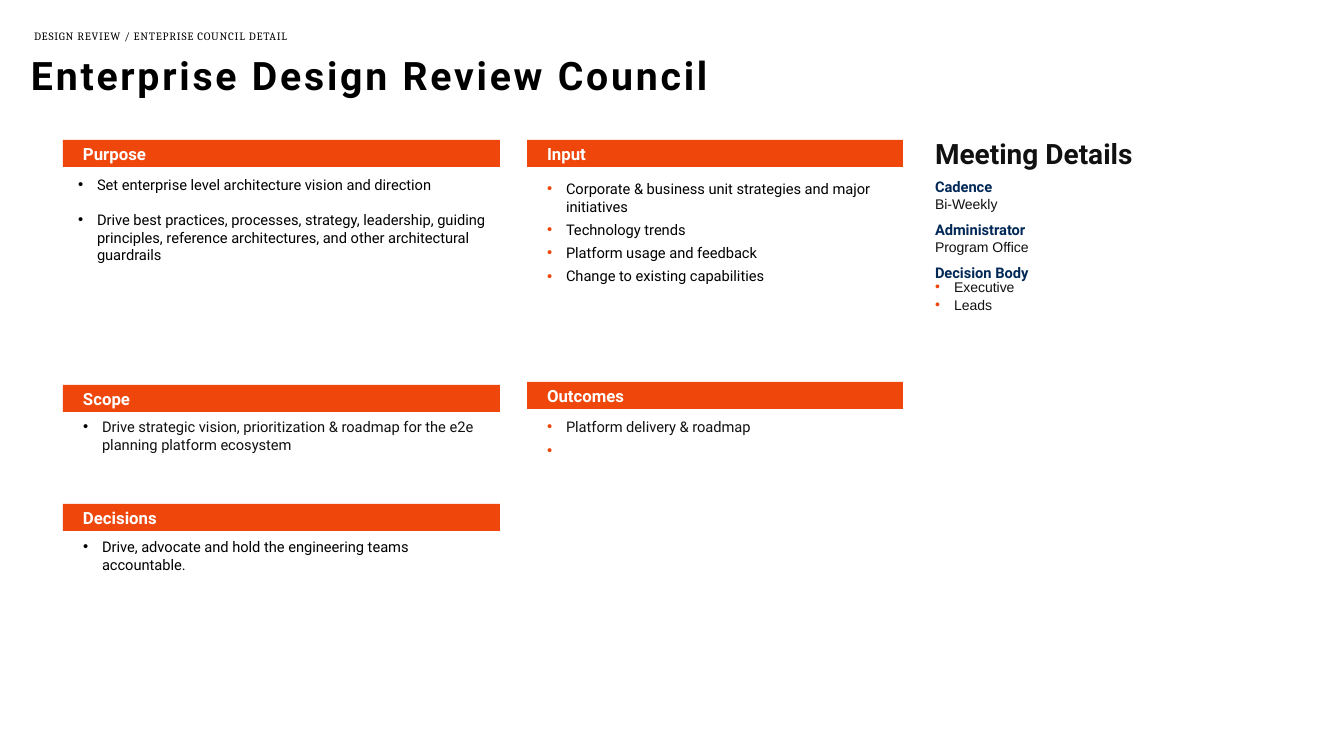
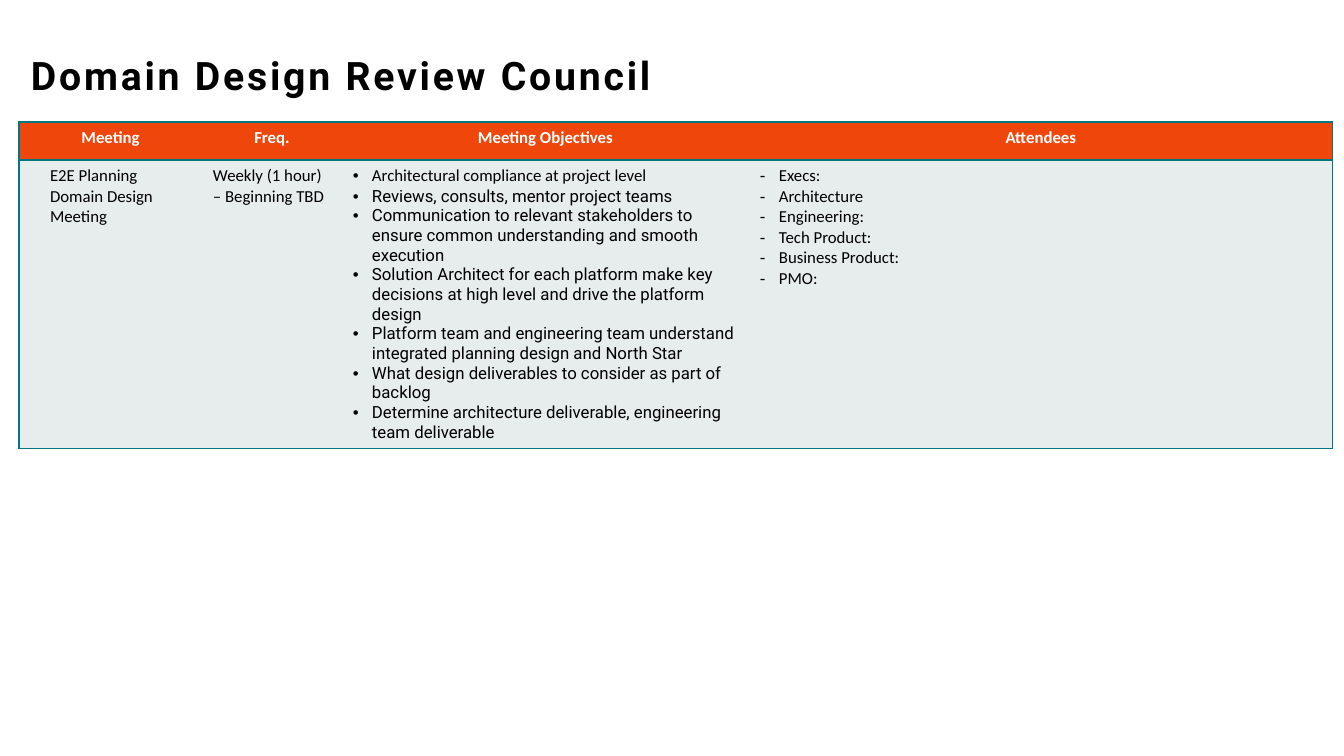
from dataclasses import dataclass, replace

import lxml.etree
import pptx
import pptx.dml.color
import pptx.enum.shapes
import pptx.enum.text
import pptx.oxml.ns
import pptx.presentation
import pptx.shapes.base
import pptx.slide
import pptx.table
import pptx.text.text
import pptx.util

PX_PER_INCH = 100.8
ORANGE, NAVY, INK = "EE460B", "002856", "111111"
BLACK, WHITE, PALE, TEAL = "000000", "FFFFFF", "E7ECEC", "04767F"
HANG = 19  # hanging indent of every list
TOP = pptx.enum.text.MSO_ANCHOR.TOP
MIDDLE = pptx.enum.text.MSO_ANCHOR.MIDDLE
LEFT = pptx.enum.text.PP_ALIGN.LEFT
CENTER = pptx.enum.text.PP_ALIGN.CENTER


@dataclass(frozen=True)
class Style:
    size: float
    font: str = "Roboto"
    color: str = BLACK
    bold: bool = False
    tracking: float = 0
    align: pptx.enum.text.PP_ALIGN = LEFT
    before: float = 0
    after: float = 0
    spacing: float | pptx.util.Length = 1.0
    bullet: str = ""
    bullet_color: str = BLACK
    indent: int = 0


@dataclass(frozen=True)
class Line:
    text: str
    style: Style


@dataclass(frozen=True)
class Box:
    x: int
    y: int
    w: int
    h: int


@dataclass(frozen=True)
class Section:
    title: str
    band: Box
    body: Box
    lines: list[Line]


@dataclass(frozen=True)
class Column:
    title: str
    width: int
    lines: list[Line]


TITLE = Style(28, bold=True, tracking=2, before=10, spacing=0.9)
KICKER = Style(8, "Cambria", tracking=0.5, before=10, spacing=0.9)
BAND = Style(12, color=WHITE, bold=True)
ITEM = Style(10.5, bullet="•")
INK_ITEM = replace(ITEM, color=INK)
ORANGE_ITEM = replace(ITEM, bullet_color=ORANGE, after=4)
HEADING = Style(20, color=INK, bold=True, after=6)
LABEL = Style(10.5, color=NAVY, bold=True)
VALUE = Style(10, "Arial", INK, after=6)
MEMBER = replace(VALUE, bullet="•", bullet_color=ORANGE, spacing=pptx.util.Pt(6.8))
HEAD_CELL = Style(12, "Calibri", WHITE, bold=True, align=CENTER)
CELL = Style(12, "Calibri")
OBJECTIVE = Style(12, bullet="•")
ATTENDEE = replace(CELL, bullet="-")

LEFT_X, LEFT_W = 63, 437
MID_X, MID_W = 527, 376
BAND_H = 27

SECTIONS = [
    Section("Purpose", Box(LEFT_X, 140, LEFT_W, BAND_H), Box(58, 156, 451, 224), [
        Line("Set enterprise level architecture vision and direction", replace(ITEM, after=12.3)),
        Line("Drive best practices, processes, strategy, leadership, guiding principles, "
             "reference architectures, and other architectural guardrails", ITEM),
    ]),
    Section("Scope", Box(LEFT_X, 385, LEFT_W, BAND_H), Box(LEFT_X, 398, LEFT_W, 102), [
        Line("Drive strategic vision, prioritization & roadmap for the e2e planning "
             "platform ecosystem", INK_ITEM),
    ]),
    Section("Decisions", Box(LEFT_X, 504, LEFT_W, BAND_H), Box(LEFT_X, 518, LEFT_W, 133), [
        Line("Drive, advocate and hold the engineering teams accountable.", ITEM),
    ]),
    Section("Input", Box(MID_X, 140, MID_W, BAND_H), Box(MID_X, 160, MID_W, 217), [
        Line(text, ORANGE_ITEM) for text in (
            "Corporate & business unit strategies and major initiatives",
            "Technology trends",
            "Platform usage and feedback",
            "Change to existing capabilities",
        )
    ]),
    Section("Outcomes", Box(MID_X, 382, MID_W, BAND_H), Box(MID_X, 398, MID_W, 282), [
        Line("Platform delivery & roadmap", replace(ORANGE_ITEM, color=INK)),
        Line(" ", ORANGE_ITEM),
    ]),
]

DETAILS = [
    Line("Meeting Details", HEADING),
    Line("Cadence", LABEL),
    Line("Bi-Weekly", VALUE),
    Line("Administrator", LABEL),
    Line("Program Office", VALUE),
    Line("Decision Body", replace(LABEL, after=3)),
    Line("Executive", MEMBER),
    Line("Leads", MEMBER),
]

COLUMNS = [
    Column("Meeting", 183, [Line("E2E Planning Domain Design Meeting", replace(CELL, indent=20))]),
    Column("Freq.", 140, [Line("Weekly (1 hour) – Beginning TBD", CELL)]),
    Column("Meeting Objectives", 407, [
        Line("Architectural compliance at project level", replace(OBJECTIVE, font="Calibri")),
        *(Line(text, OBJECTIVE) for text in (
            "Reviews, consults, mentor project teams",
            "Communication to relevant stakeholders to ensure common understanding "
            "and smooth execution",
            "Solution Architect for each platform make key decisions at high level "
            "and drive the platform design",
            "Platform team and engineering team understand integrated planning design "
            "and North Star",
            "What design deliverables to consider as part of backlog",
            "Determine architecture deliverable, engineering team deliverable",
        )),
    ]),
    Column("Attendees", 584, [
        Line(text, ATTENDEE) for text in (
            "Execs:", "Architecture", "Engineering:", "Tech Product:",
            "Business Product:", "PMO:",
        )
    ]),
]


def px(n: int) -> pptx.util.Emu:
    return pptx.util.Emu(round(n * 914400 / PX_PER_INCH))


def rgb(color: str) -> pptx.dml.color.RGBColor:
    return pptx.dml.color.RGBColor.from_string(color)


def frame(box: Box) -> tuple[pptx.util.Emu, ...]:
    return px(box.x), px(box.y), px(box.w), px(box.h)


def sub(parent: lxml.etree.ElementBase, tag: str, **attrs: str) -> lxml.etree.ElementBase:
    """Append a DrawingML child element."""
    return lxml.etree.SubElement(parent, pptx.oxml.ns.qn(f"a:{tag}"), attrs)


def set_paragraph(p: pptx.text.text._Paragraph, line: Line) -> None:
    style = line.style
    pPr = p._p.get_or_add_pPr()
    hang = HANG if style.bullet else 0
    pPr.set("marL", str(px(style.indent + hang)))
    pPr.set("indent", str(-px(hang)))
    if style.bullet:
        sub(sub(pPr, "buClr"), "srgbClr", val=style.bullet_color)
        sub(pPr, "buFont", typeface="Arial")
        sub(pPr, "buChar", char=style.bullet)
    else:
        sub(pPr, "buNone")
    p.add_run().text = line.text
    p.alignment = style.align
    p.line_spacing = style.spacing
    p.space_before = pptx.util.Pt(style.before)
    p.space_after = pptx.util.Pt(style.after)
    p.font.size = pptx.util.Pt(style.size)
    p.font.name = style.font
    p.font.bold = style.bold
    p.font.color.rgb = rgb(style.color)
    if style.tracking:
        pPr.get_or_add_defRPr().set("spc", str(round(style.tracking * 100)))


def write_lines(tf: pptx.text.text.TextFrame, lines: list[Line]) -> None:
    for i, line in enumerate(lines):
        set_paragraph(tf.add_paragraph() if i else tf.paragraphs[0], line)


def set_margins(target: pptx.text.text.TextFrame | pptx.table._Cell,
                margins: tuple[int, int, int, int]) -> None:
    """Set left, top, right and bottom margins."""
    (target.margin_left, target.margin_top,
     target.margin_right, target.margin_bottom) = map(px, margins)


def fill_text(sp: pptx.shapes.base.BaseShape, box: Box, lines: list[Line],
              margins: tuple[int, int, int, int],
              anchor: pptx.enum.text.MSO_ANCHOR = TOP) -> None:
    """Place a text-bearing shape and write its lines."""
    sp.left, sp.top, sp.width, sp.height = frame(box)
    tf = sp.text_frame
    tf.word_wrap = True
    tf.auto_size = pptx.enum.text.MSO_AUTO_SIZE.NONE
    tf.vertical_anchor = anchor
    set_margins(tf, margins)
    write_lines(tf, lines)


def add_slide(prs: pptx.presentation.Presentation, layout: str, title: str) -> pptx.slide.Slide:
    s = prs.slides.add_slide(prs.slide_layouts.get_by_name(layout))
    fill_text(s.shapes.title, Box(19, 52, 1299, 48), [Line(title, TITLE)], (12, 5, 0, 5))
    return s


def add_band(s: pptx.slide.Slide, section: Section) -> None:
    sp = s.shapes.add_shape(pptx.enum.shapes.MSO_SHAPE.RECTANGLE, *frame(section.band))
    sp.shadow.inherit = False
    sp.fill.solid()
    sp.fill.fore_color.rgb = rgb(ORANGE)
    sp.line.fill.background()
    fill_text(sp, section.band, [Line(section.title, BAND)], (20, 5, 20, 5), MIDDLE)


def set_border(cell: pptx.table._Cell, sides: str) -> None:
    """Draw the named sides (L, R, T, B); hide the others."""
    tcPr = cell._tc.get_or_add_tcPr()
    for side in "LRTB":
        ln = sub(tcPr, f"ln{side}", w=str(pptx.util.Pt(1)))
        if side in sides:
            sub(sub(ln, "solidFill"), "srgbClr", val=TEAL)
        else:
            sub(ln, "noFill")


def set_cell(cell: pptx.table._Cell, lines: list[Line], color: str, sides: str) -> None:
    set_margins(cell, (11, 6, 11, 6))
    set_border(cell, sides)
    cell.fill.solid()
    cell.fill.fore_color.rgb = rgb(color)
    write_lines(cell.text_frame, lines)


def build_enterprise(prs: pptx.presentation.Presentation) -> None:
    s = add_slide(prs, "Comparison", "Enterprise Design Review Council")
    kicker = Box(19, 25, 652, 23)
    fill_text(s.shapes.add_textbox(*frame(kicker)), kicker,
              [Line("DESIGN REVIEW / ENTEPRISE COUNCIL DETAIL", KICKER)], (15, 5, 0, 5), MIDDLE)
    bodies = iter(list(s.placeholders)[1:])
    for section in SECTIONS:
        # The layout has four bodies; the fifth list gets a text box.
        sp = next(bodies, None) or s.shapes.add_textbox(*frame(section.body))
        fill_text(sp, section.body, section.lines, (20, 20, 20, 5))
        add_band(s, section)
    details = Box(925, 131, 393, 488)
    fill_text(s.shapes.add_textbox(*frame(details)), details, DETAILS, (10, 5, 10, 5))


def build_domain(prs: pptx.presentation.Presentation) -> None:
    s = add_slide(prs, "Title Only", "Domain Design Review Council")
    heights = (38, 288)
    box = Box(19, 122, sum(c.width for c in COLUMNS), sum(heights))
    table = s.shapes.add_table(len(heights), len(COLUMNS), *frame(box)).table
    for row, height in zip(table.rows, heights):
        row.height = px(height)
    for i, column in enumerate(COLUMNS):
        table.columns[i].width = px(column.width)
        sides = "TB" + ("L" if i == 0 else "") + ("R" if i == len(COLUMNS) - 1 else "")
        set_cell(table.cell(0, i), [Line(column.title, HEAD_CELL)], ORANGE, sides)
        set_cell(table.cell(1, i), column.lines, PALE, sides)


def main() -> None:
    prs = pptx.Presentation()
    prs.slide_width, prs.slide_height = px(1344), px(756)
    build_enterprise(prs)
    build_domain(prs)
    prs.save("out.pptx")


if __name__ == "__main__":
    main()
